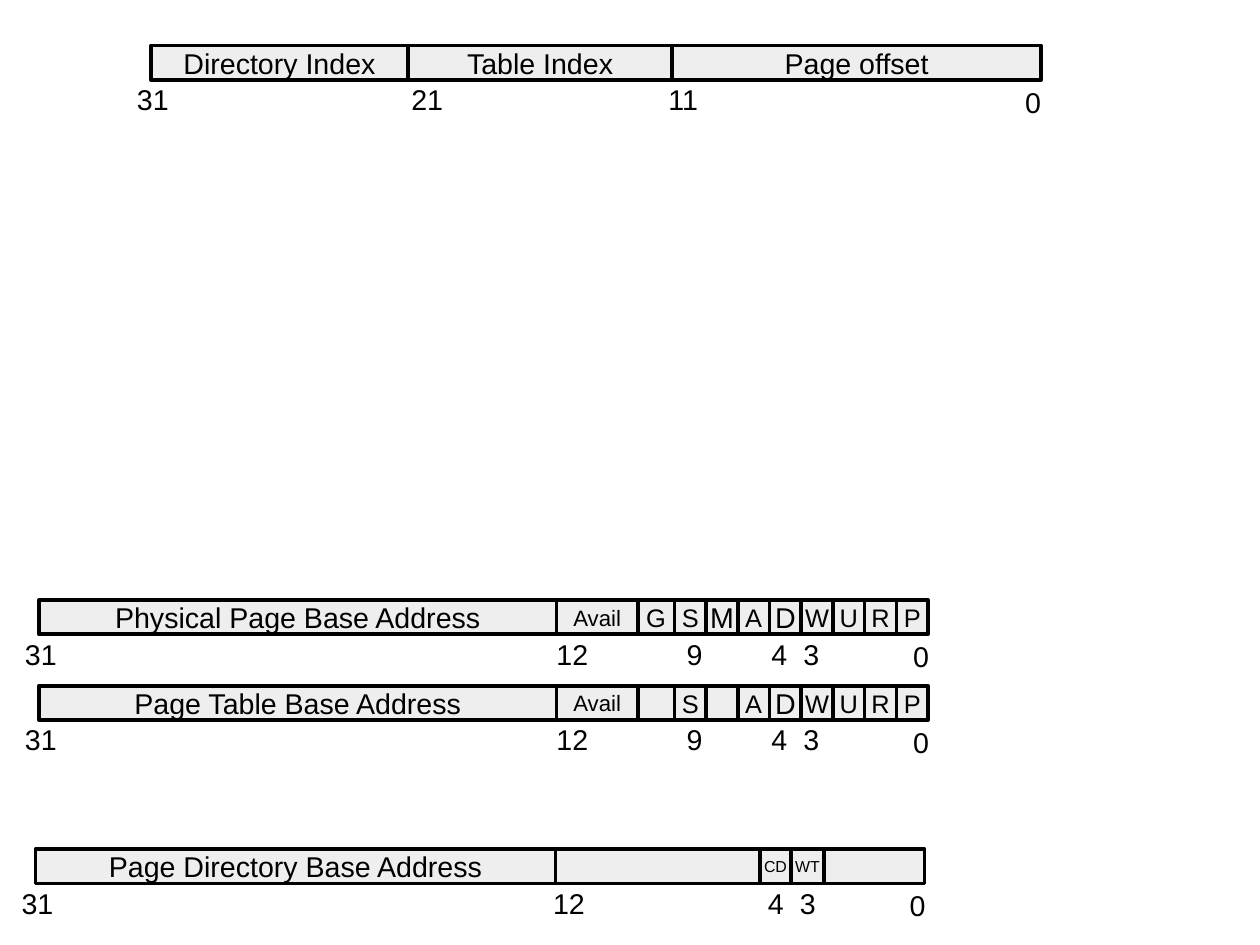
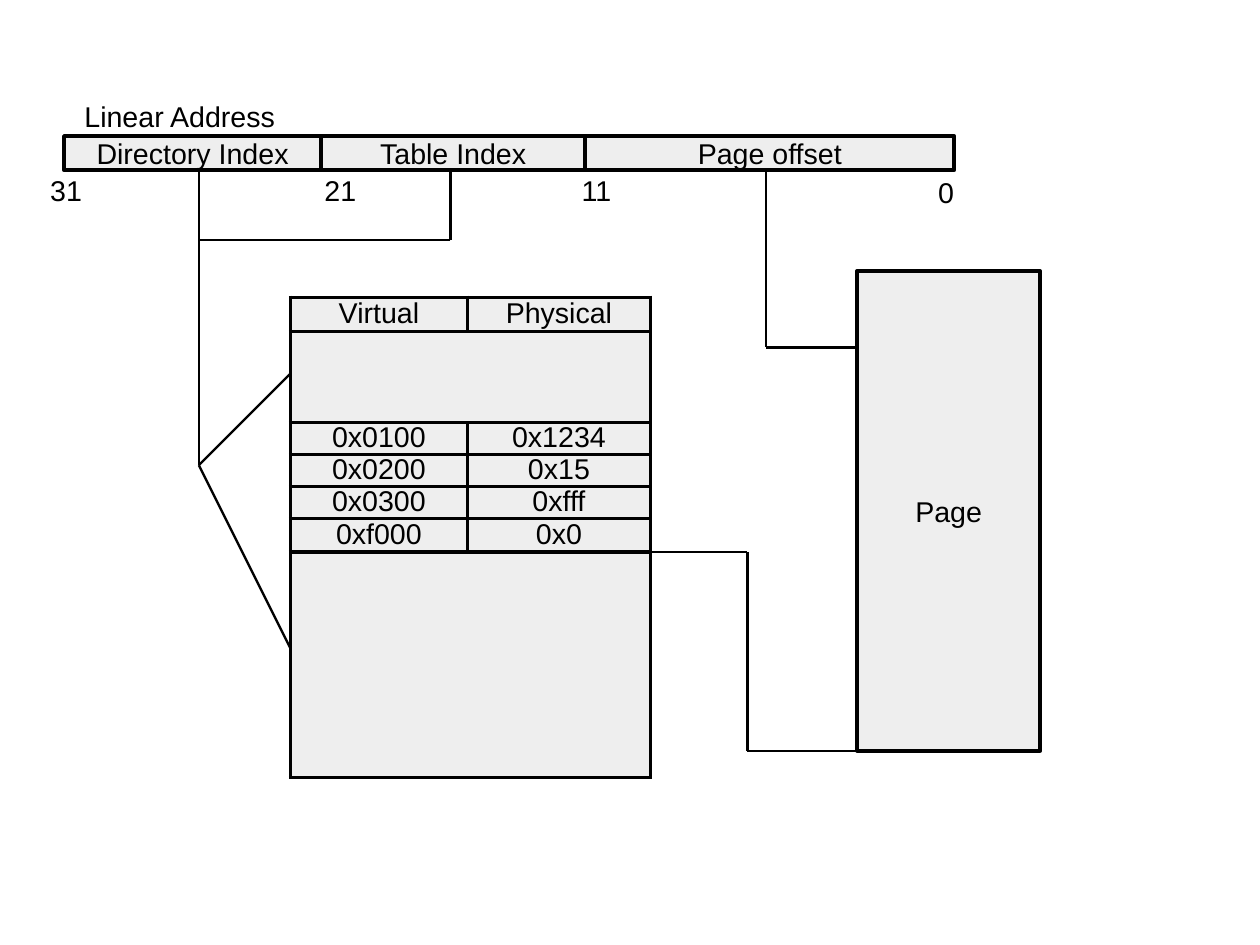
"""Build two slides on 32-bit paging: register layouts and address translation."""
from itertools import pairwise

from lxml import etree
from pptx import Presentation, util as u
from pptx.dml.color import RGBColor
from pptx.enum import text as t
from pptx.enum.shapes import MSO_CONNECTOR, MSO_SHAPE
from pptx.oxml.ns import qn

BLACK = RGBColor(0x00, 0x00, 0x00)
GREY = RGBColor(0xEE, 0xEE, 0xEE)
FONT = "Arial"
BODY, FLAG, AVAIL, TINY = 18, 16, 14, 10
BORDER, WIRE = 2.3, 1.5
ROW_H = 0.3
FLAG_W = 2.22 / 8
TICK_DROP = 0.27
TICK_X = {31: -0.22, 21: 2.18, 12: 4.43, 11: 4.43, 9: 5.57, 4: 6.31, 3: 6.59, 0: 7.55}

LINEAR_ADDRESS = [("Directory Index", 2.25, BODY), ("Table Index", 2.31, BODY),
                  ("Page offset", 3.23, BODY)]
LINEAR_BITS = [31, 21, 11, 0]


def entry_fields(base, global_flag, flags):
    """List the fields of a page entry: address, spare bits and one-bit flags."""
    return [(base, 4.53, BODY), ("Avail", 0.71, AVAIL), (global_flag, 0.32, FLAG)] + [
        (flag, FLAG_W, BODY if flag in ("M", "D") else FLAG) for flag in flags]


ENTRY_BITS = [31, 12, 9, 4, 3, 0]
REGISTERS = [
    (1.32, 0.4, LINEAR_ADDRESS, LINEAR_BITS),
    (0.34, 5.25, entry_fields("Physical Page Base Address", "G", list("SMADWURP")), ENTRY_BITS),
    (0.34, 6.0, entry_fields("Page Table Base Address", "", ["S", "", *"ADWURP"]), ENTRY_BITS),
    (0.31, 7.43, [("Page Directory Base Address", 4.55, BODY), ("", 3.23, BODY)],
     [31, 12, 4, 3, 0]),
]
CACHE_FLAGS = (6.65, 7.43, [("CD", 0.27, TINY), ("WT", 0.29, TINY)], [])

MAPPING = [("Virtual", "Physical"), (), ("0x0100", "0x1234"), ("0x0200", "0x15"),
           ("0x0300", "0xfff"), ("0xf000", "0x0"), ()]
MAPPING_HEIGHTS = [0.3, 0.8, 0.28, 0.28, 0.28, 0.29, 1.97]
MAPPING_WIDTHS = [1.55, 1.6]
MAPPING_LINE = 19
WIRES = [
    [(1.74, 1.5), (1.74, 4.07), (2.54, 3.27)],
    [(1.74, 4.07), (2.54, 5.67)],
    [(3.94, 1.5), (3.94, 2.1), (1.74, 2.1)],
    [(6.7, 1.5), (6.7, 3.04), (7.5, 3.04)],
    [(5.69, 4.83), (6.54, 4.83), (6.54, 6.57), (7.5, 6.57)],
]


def inches(*lengths):
    return [u.Inches(length) for length in lengths]


def write(frame, words, size=BODY, align=t.PP_ALIGN.LEFT):
    frame.text = words
    paragraph = frame.paragraphs[0]
    paragraph.alignment = align
    for run in paragraph.runs:
        run.font.name, run.font.size = FONT, u.Pt(size)
        run.font.color.rgb = BLACK


def add_box(slide, words, left, top, width, height=ROW_H, size=BODY):
    box = slide.shapes.add_shape(MSO_SHAPE.RECTANGLE, *inches(left, top, width, height))
    box.shadow.inherit = False
    box.fill.solid()
    box.fill.fore_color.rgb = GREY
    box.line.color.rgb = BLACK
    box.line.width = u.Pt(BORDER)
    if words:
        frame = box.text_frame
        frame.margin_left = frame.margin_right = u.Inches(0.11)
        frame.margin_top = frame.margin_bottom = u.Inches(0.06)
        frame.vertical_anchor = t.MSO_ANCHOR.MIDDLE
        frame.word_wrap = False
        write(frame, words, size, t.PP_ALIGN.CENTER)


def add_label(slide, words, left, top, width):
    frame = slide.shapes.add_textbox(*inches(left, top, width, 0.38)).text_frame
    frame.word_wrap = False
    frame.auto_size = t.MSO_AUTO_SIZE.SHAPE_TO_FIT_TEXT
    write(frame, words)


def add_register(slide, left, top, fields, bits):
    edge = left
    for name, width, size in fields:
        add_box(slide, name, edge, top, width, size=size)
        edge += width
    for bit in bits:
        drop = TICK_DROP if bit else TICK_DROP + 0.02
        add_label(slide, str(bit), left + TICK_X[bit], top + drop, 0.2 + 0.14 * len(str(bit)))


def add_wire(slide, points):
    for start, end in pairwise(points):
        wire = slide.shapes.add_connector(MSO_CONNECTOR.STRAIGHT, *inches(*start, *end))
        wire.line.color.rgb = BLACK
        wire.line.width = u.Pt(WIRE)
        etree.SubElement(wire._element.spPr, qn("a:effectLst"))


def style_cell(cell):
    cell.margin_left = cell.margin_right = cell.margin_top = cell.margin_bottom = 0
    cell.vertical_anchor = t.MSO_ANCHOR.MIDDLE
    properties = cell._tc.get_or_add_tcPr()
    for side in ("lnL", "lnR", "lnT", "lnB"):
        border = etree.SubElement(properties, qn(f"a:{side}"), w=str(u.Pt(BORDER)))
        paint = etree.SubElement(border, qn("a:solidFill"))
        etree.SubElement(paint, qn("a:srgbClr"), val=str(BLACK))
    cell.fill.solid()
    cell.fill.fore_color.rgb = GREY


def add_mapping(slide, left, top):
    table = slide.shapes.add_table(
        len(MAPPING), len(MAPPING_WIDTHS),
        *inches(left, top, sum(MAPPING_WIDTHS), sum(MAPPING_HEIGHTS))).table
    table.first_row = table.horz_banding = False
    for column, width in zip(table.columns, MAPPING_WIDTHS):
        column.width = u.Inches(width)
    for r, (entries, height) in enumerate(zip(MAPPING, MAPPING_HEIGHTS)):
        table.rows[r].height = u.Inches(height)
        for c in range(len(MAPPING_WIDTHS)):
            style_cell(table.cell(r, c))
        for c, entry in enumerate(entries):
            frame = table.cell(r, c).text_frame
            write(frame, entry, align=t.PP_ALIGN.CENTER)
            frame.paragraphs[0].line_spacing = u.Pt(MAPPING_LINE)
        if not entries:
            table.cell(r, 0).merge(table.cell(r, 1))


def main():
    deck = Presentation()
    deck.slide_width, deck.slide_height = u.Cm(28), u.Cm(21)
    layouts, translation = [deck.slides.add_slide(deck.slide_layouts[6]) for _ in range(2)]

    for register in [*REGISTERS, CACHE_FLAGS]:
        add_register(layouts, *register)

    add_label(translation, "Linear Address", 0.64, 0.82, 1.87)
    add_register(translation, 0.56, 1.19, LINEAR_ADDRESS, LINEAR_BITS)
    for points in WIRES:
        add_wire(translation, points)
    add_box(translation, "Page", 7.5, 2.37, 1.6, 4.2)
    add_mapping(translation, 2.54, 2.6)
    deck.save("out.pptx")


if __name__ == "__main__":
    main()
